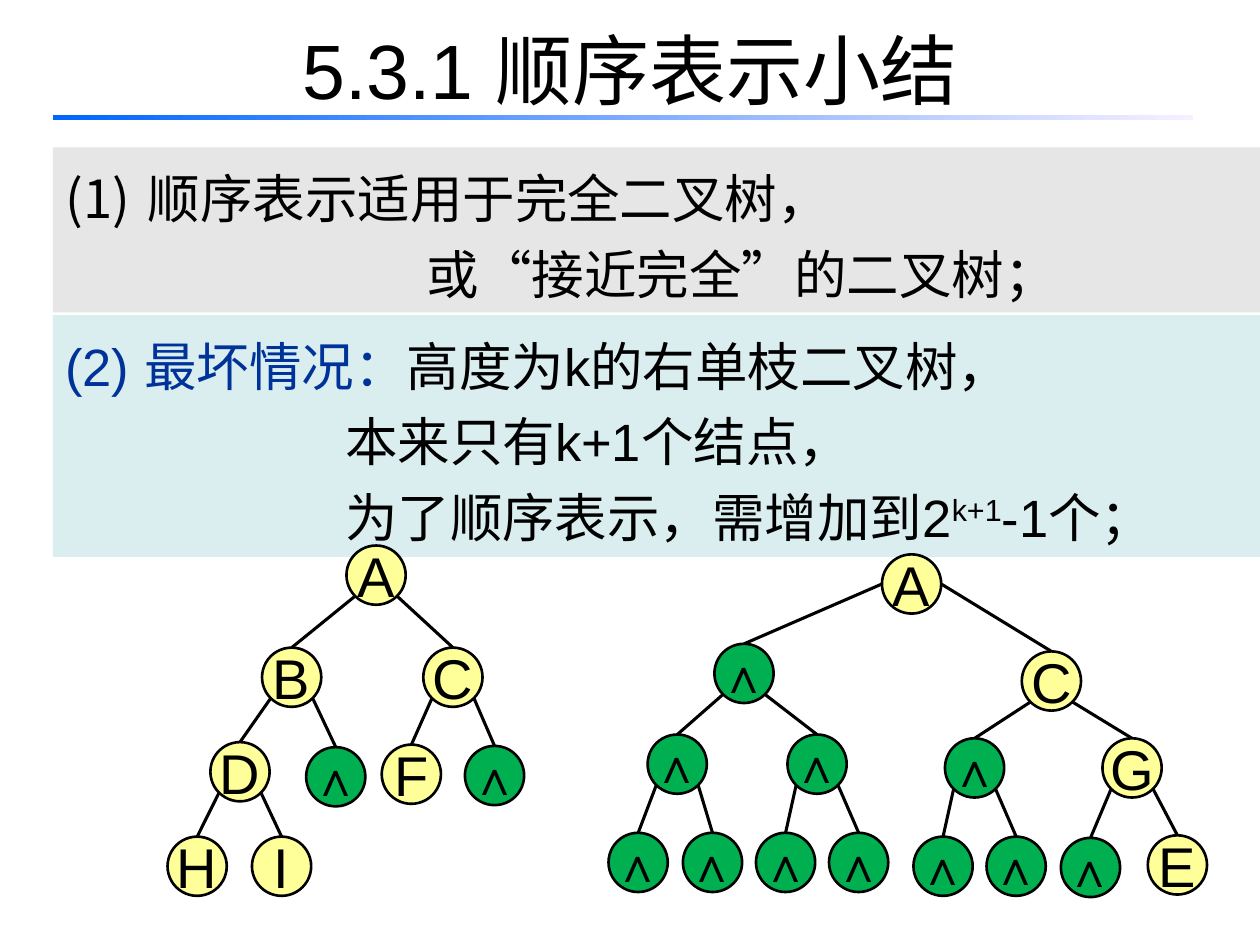
from dataclasses import dataclass
from math import sqrt

from lxml.etree import SubElement
from pptx import Presentation
from pptx.dml.color import RGBColor
from pptx.enum.dml import MSO_THEME_COLOR as Theme
from pptx.enum.shapes import MSO_CONNECTOR as Connector, MSO_SHAPE as Shape
from pptx.enum.text import MSO_ANCHOR as Anchor, MSO_AUTO_SIZE as AutoSize, PP_ALIGN as Align
from pptx.oxml.ns import qn
from pptx.util import Inches, Pt

BLACK = RGBColor(0x00, 0x00, 0x00)
NAVY = RGBColor(0x00, 0x33, 0x99)
RULE_START = RGBColor(0x00, 0x66, 0xFF)
RULE_END = RGBColor(0xF7, 0xEF, 0xFF)
GREY = RGBColor(0xE6, 0xE6, 0xE6)
AQUA = RGBColor(0xDA, 0xED, 0xEF)
YELLOW = RGBColor(0xFF, 0xFF, 0x99)
GREEN = RGBColor(0x00, 0xB0, 0x50)

LATIN, CHINESE = "Arial", "Noto Sans CJK SC"
WIDTH, HEIGHT = Inches(10), Inches(7.5)
COLUMN, ROW = WIDTH / 100, HEIGHT / 75
NODE_SIZE = 4.7
DIAGONAL = 1 / sqrt(2)
EMPTY = "∧"

TITLE_FORMAT = {"size": Pt(44), "name": LATIN}
PANEL_FORMAT = {"size": Pt(30), "name": LATIN}
LETTER_FORMAT = {"size": Pt(32), "name": LATIN}
EMPTY_FORMAT = {"size": Pt(28), "name": LATIN, "bold": True}


@dataclass(frozen=True)
class Span:
    text: str
    color: RGBColor = BLACK
    raised: bool = False


@dataclass(frozen=True)
class Line:
    """One paragraph; margin and hanging are in columns."""
    spans: tuple[Span, ...]
    margin: float = 5.6
    hanging: float = 0
    numbered: bool = False


@dataclass(frozen=True)
class Panel:
    top: float
    height: float
    fill: RGBColor
    lines: tuple[Line, ...]


@dataclass(frozen=True)
class Node:
    """A tree node, its left and top in columns and rows."""
    letter: str
    left: float
    top: float
    children: tuple["Node", ...] = ()
    wide: bool = False

    @property
    def center(self) -> float:
        return self.left + NODE_SIZE / 2


PANELS = (
    Panel(11.7, 13.1, GREY, (
        Line((Span(" 顺序表示适用于完全二叉树，"),), hanging=5.6, numbered=True),
        Line((Span("或“接近完全”的二叉树；"),), margin=28.7),
    )),
    Panel(25, 19.2, AQUA, (
        Line((Span("(2) 最坏情况：", NAVY), Span("高度为k的右单枝二叉树，")), hanging=5.6),
        Line((Span("本来只有k+1个结点，"),), margin=22.2),
        Line((Span("为了顺序表示，需增加到2"), Span("k+1", raised=True), Span("-1个；")), margin=22.2),
    )),
)

TREES = (
    Node("A", 27.5, 43.3, (
        Node("B", 20.8, 51.4, (
            Node("D", 16.7, 58.9, (Node("H", 13.3, 66.4), Node("I", 20, 66.4))),
            Node(EMPTY, 24.3, 59.3),
        )),
        Node("C", 33.6, 51.4, (Node("F", 30.3, 59.1), Node(EMPTY, 36.9, 59.2))),
    )),
    Node("A", 70, 44, (
        Node(EMPTY, 56.7, 51.1, (
            Node(EMPTY, 51.4, 58.3, (Node(EMPTY, 48.3, 66.1), Node(EMPTY, 54.2, 66.1))),
            Node(EMPTY, 62.5, 58.3, (Node(EMPTY, 60, 66.1), Node(EMPTY, 65.8, 66.1))),
        )),
        Node("C", 81.1, 51.7, (
            Node(EMPTY, 75, 58.6, (Node(EMPTY, 72.5, 66.4), Node(EMPTY, 78.3, 66.4))),
            Node("G", 87.5, 58.6, (Node(EMPTY, 84.2, 66.5), Node("E", 91.1, 66.3))),
        )),
    ), wide=True),
)


def place(left: float, top: float, width: float, height: float) -> tuple[int, ...]:
    return round(left * COLUMN), round(top * ROW), round(width * COLUMN), round(height * ROW)


def add_span(para, span: Span, values: dict, chinese: bool = True) -> None:
    run = para.add_run()
    run.text = span.text
    for name, value in values.items():
        setattr(run.font, name, value)
    run.font.color.rgb = span.color
    properties = run.font._element
    if chinese:
        SubElement(properties, qn("a:ea"), typeface=CHINESE)
    if span.raised:
        properties.set("baseline", "30000")


def add_plain_shape(page, kind: Shape, area: tuple[int, ...]):
    shape = page.shapes.add_shape(kind, *area)
    shape.shadow.inherit = False
    shape.line.fill.background()
    return shape


def add_title(page) -> None:
    title = page.shapes.title
    title.left, title.top, title.width, title.height = place(5, -0.8, 90, 12.5)
    frame = title.text_frame
    frame.auto_size = AutoSize.NONE
    frame.vertical_anchor = Anchor.MIDDLE
    para = frame.paragraphs[0]
    para.alignment = Align.CENTER
    add_span(para, Span("5.3.1 "), TITLE_FORMAT)
    add_span(para, Span("顺序表示小结"), TITLE_FORMAT | {"name": CHINESE})


def add_title_rule(page) -> None:
    rule = add_plain_shape(page, Shape.RECTANGLE, place(4.2, 9.1, 90.5, 0.4))
    rule.fill.gradient()
    rule.fill.gradient_angle = 0
    for stop, position, color in zip(rule.fill.gradient_stops, (0, 1), (RULE_START, RULE_END)):
        stop.color.theme_color = Theme.ACCENT_1
        stop.color.rgb = color
        stop.position = position


def add_panel(page, panel: Panel) -> None:
    box = add_plain_shape(page, Shape.RECTANGLE, place(4.2, panel.top, 95.8, panel.height))
    box.fill.solid()
    box.fill.fore_color.rgb = panel.fill
    frame = box.text_frame
    frame.word_wrap = True
    frame.vertical_anchor = Anchor.TOP
    for index, line in enumerate(panel.lines):
        para = frame.add_paragraph() if index else frame.paragraphs[0]
        para.alignment = Align.LEFT
        para.line_spacing = 1.2
        properties = para._p.get_or_add_pPr()
        properties.set("marL", str(round(line.margin * COLUMN)))
        properties.set("indent", str(round(-line.hanging * COLUMN)))
        if line.numbered:
            SubElement(properties, qn("a:buFont"), typeface=CHINESE)
            SubElement(properties, qn("a:buAutoNum"), type="arabicParenBoth")
        for span in line.spans:
            add_span(para, span, PANEL_FORMAT)


def add_edge(page, parent: Node, child: Node) -> None:
    """Join the parent's side (wide) or lower diagonal to the child's top."""
    radius = NODE_SIZE / 2
    across, down = (radius, 0) if parent.wide else (radius * DIAGONAL,) * 2
    side = -1 if child.center < parent.center else 1
    start = place(parent.center + side * across, parent.top + radius + down, 0, 0)[:2]
    end = place(child.center, child.top, 0, 0)[:2]
    edge = page.shapes.add_connector(Connector.STRAIGHT, *start, *end)
    edge.line.color.rgb = BLACK
    edge.line.width = Pt(1.75)
    SubElement(edge._element.spPr, qn("a:effectLst"))


def add_tree(page, node: Node) -> None:
    for child in node.children:
        add_edge(page, node, child)
        add_tree(page, child)
    empty = node.letter == EMPTY
    circle = add_plain_shape(page, Shape.OVAL, place(node.left, node.top, NODE_SIZE, NODE_SIZE))
    circle.fill.solid()
    circle.fill.fore_color.rgb = GREEN if empty else YELLOW
    circle.line.color.rgb = BLACK
    circle.line.width = Pt(1.5)
    frame = circle.text_frame
    frame.word_wrap = False
    frame.vertical_anchor = Anchor.MIDDLE
    para = frame.paragraphs[0]
    para.alignment = Align.CENTER
    add_span(para, Span(node.letter), EMPTY_FORMAT if empty else LETTER_FORMAT, chinese=False)


def main() -> None:
    deck = Presentation()
    deck.slide_width, deck.slide_height = WIDTH, HEIGHT
    page = deck.slides.add_slide(deck.slide_layouts[5])
    add_title(page)
    add_title_rule(page)
    for panel in PANELS:
        add_panel(page, panel)
    for tree in TREES:
        add_tree(page, tree)
    deck.save("out.pptx")


if __name__ == "__main__":
    main()
